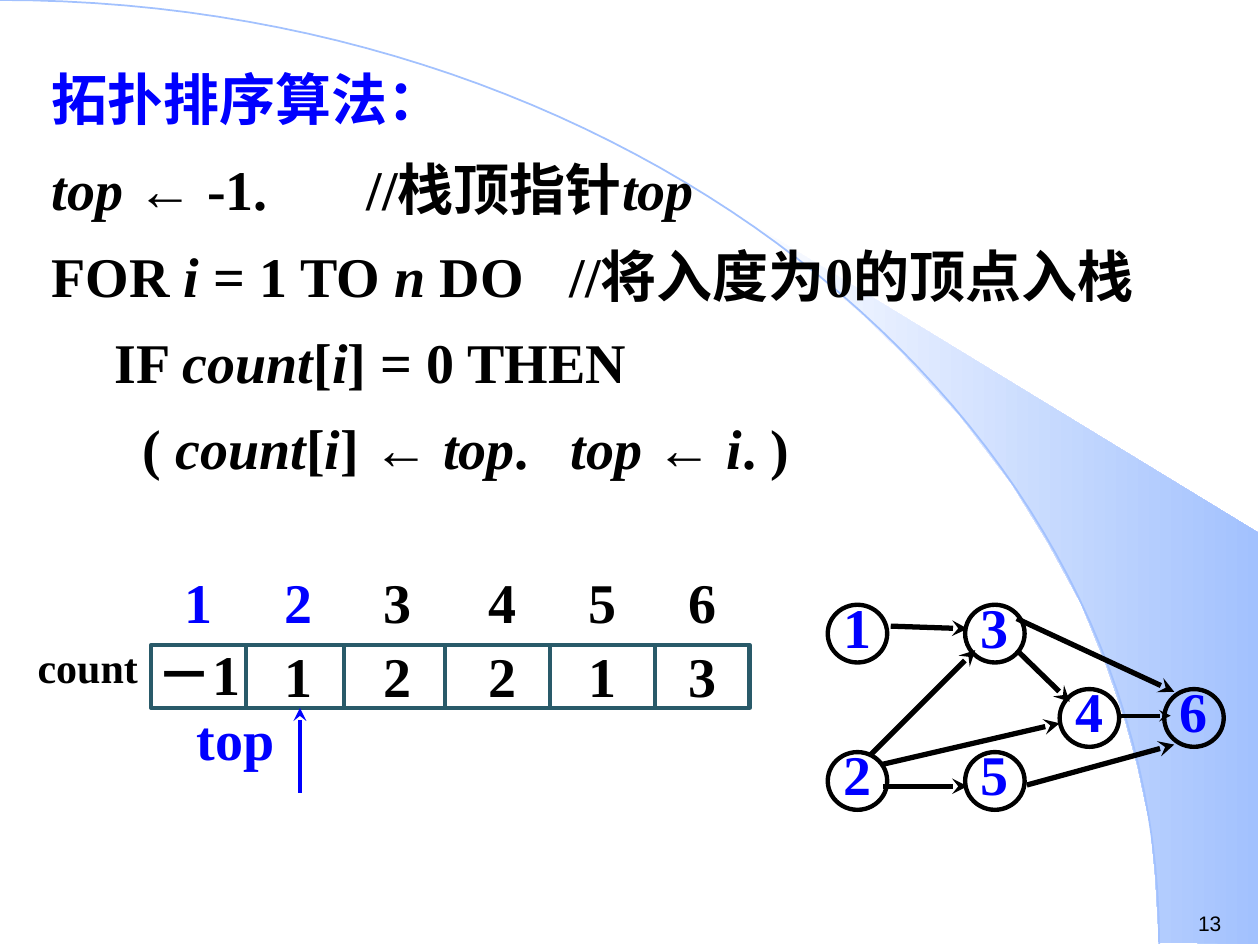
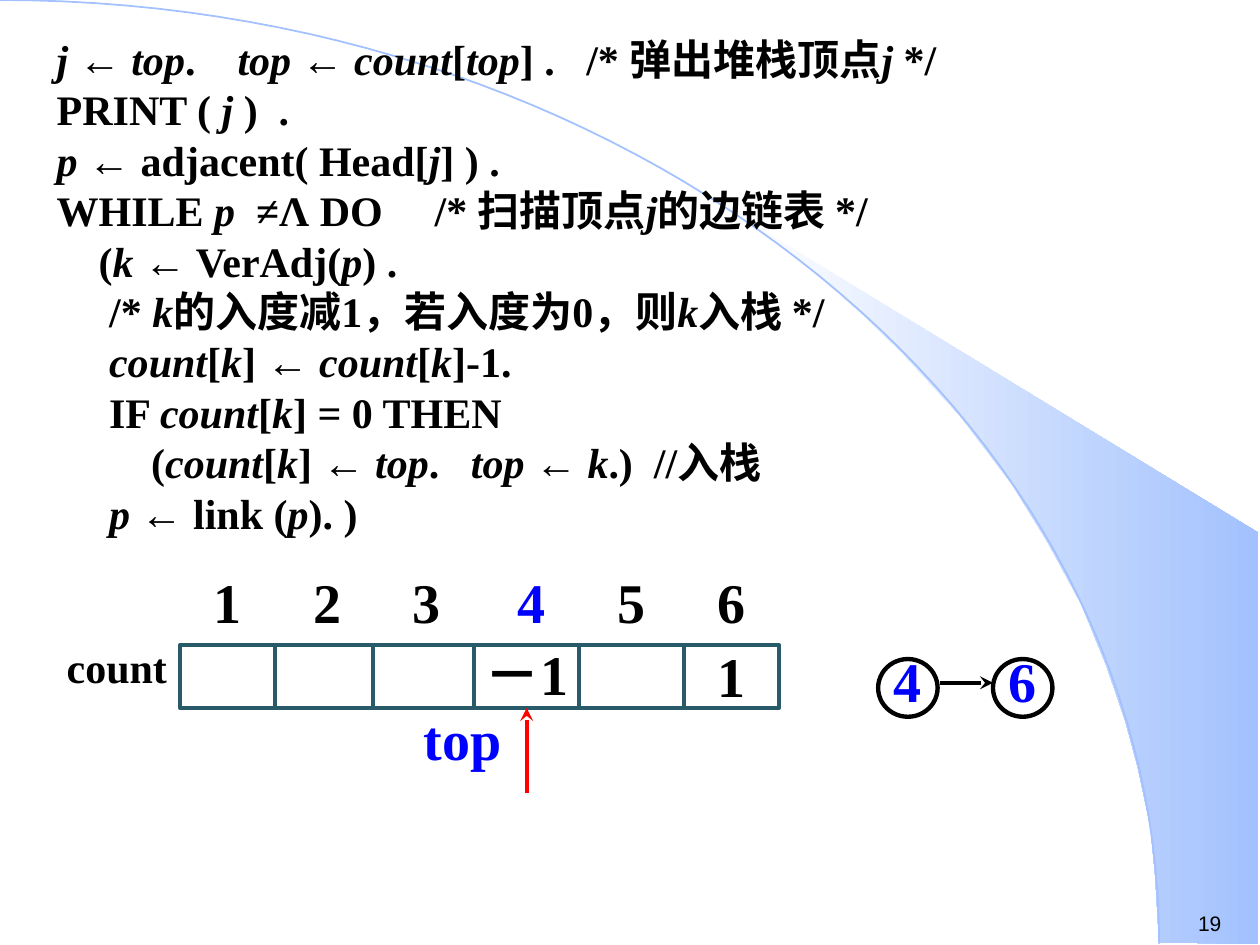
from lxml.etree import SubElement
from pptx import Presentation
from pptx.dml.color import RGBColor
from pptx.enum.shapes import MSO_CONNECTOR, MSO_SHAPE
from pptx.enum.text import MSO_ANCHOR, MSO_AUTO_SIZE, PP_ALIGN
from pptx.oxml.ns import qn
from pptx.util import Pt

# Shared look
BLACK, BLUE, RED = "000000", "0000FF", "FF0000"
TEAL, SKY, WHITE = "295A69", "A2C1FE", "FFFFFF"
SERIF, SANS = "Times New Roman", "Arial"
LEADING = 1.2

# Background band: right wedge outline, and control points of the arc
WEDGE = [(662.4, 538.6), (719.3, 539.3), (719.3, 304.6), (424.1, 124.6),
         (449.3, 143.3), (470.2, 159.8), (493.2, 180), (515.5, 201.6),
         (548.6, 237.6), (578.2, 276.5), (599, 310.3), (617.8, 344.9),
         (632.2, 380.2), (643, 411.8), (650.2, 438.5), (657.4, 472.3),
         (660.2, 501.1)]
ARC = [(0, 0), (365.8, 0), (662.4, 241.2), (662.4, 539.3)]
ARC_STEPS = 60

# Count array: column edges and left ends of the digit boxes
COLUMN_EDGES = [0, 54, 110, 168, 228, 288, 342]
DIGIT_LEFTS = [0, 57, 114, 174, 231, 288]
DIGIT_W, MINUS_W, BOX_H = 54, 78, 45
ARRAY_TOP, ARRAY_H = 368.6, 36
NODE_W, NODE_H = 34, 33

# Slide content; _text_ marks italics
SLIDES = [
    {
        "number": "13",
        "title": "拓扑排序算法：",
        "code": [
            "_top _← -1.\t\t//栈顶指针_top_",
            "FOR _i _= 1 TO _n_ DO\t //将入度为0的顶点入栈",
            "\tIF _count_[_i_] = 0 THEN",
            "\t  ( _count_[_i_] ← _top_.   _top _← _i_. )",
        ],
        "code_box": (22.3, 74, 658, 206), "code_size": 32, "code_pitch": 49.3,
        "array_left": 86.4,
        "values": ["－1", "1", "2", "2", "1", "3"],
        "blue_indexes": [1, 2],
        "top_x": 171.4, "top_color": BLUE,
        "nodes": {"1": (473, 345.6), "3": (551.5, 345.6), "4": (605.5, 393.8),
                  "6": (665.3, 393.8), "2": (473, 429.8), "5": (551.5, 429.8)},
        "edges": [
            (509, 357.8, 553, 359.3, 3), (504.7, 449.3, 553, 449.3, 3),
            (503.3, 437, 605.5, 413.3, 3), (497.5, 431.3, 557.3, 371.5, 3),
            (581, 371.5, 611.3, 401, 3), (640, 409, 669, 409, 2.25),
            (586.8, 448.6, 671, 425.5, 3), (581, 353.5, 671, 395.3, 3),
        ],
    },
    {
        "number": "19",
        "title": None,
        "code": [
            "_j _← _top_.    _top _← _count_[_top_] .   /* 弹出堆栈顶点_j_ */",
            "PRINT ( _j _)  .",
            "_p _← adjacent( Head[_j_] ) .",
            "WHILE_ p  _≠Λ DO\t/* 扫描顶点_j_的边链表 */",
            "    (_k _← VerAdj(_p_) .",
            "     /* _k_的入度减1，若入度为0，则_k_入栈 */",
            "_     count_[_k_] ← _count_[_k_]-1.",
            "     IF _count_[_k_] = 0 THEN",
            "         (_count_[_k_] ← _top_.   _top _← _k_.)  //入栈",
            "_     p _← link (_p_). )",
        ],
        "code_box": (25.2, 15.5, 533, 295), "code_size": 24, "code_pitch": 28.8,
        "array_left": 103,
        "values": ["", "", "", "－1", "", "1"],
        "blue_indexes": [4],
        "top_x": 301, "top_color": RED,
        "nodes": {"4": (501.8, 376.6), "6": (567.4, 376.6)},
        "edges": [(537, 390.2, 567.4, 390.2, 2.5)],
    },
]


def rgb(value):
    return RGBColor.from_string(value)


def place(sp, left, top, width, height):
    sp.left, sp.top, sp.width, sp.height = Pt(left), Pt(top), Pt(width), Pt(height)


def style_run(r, size, color, bold=True, italic=False, font=SERIF):
    r.font.name, r.font.size = font, Pt(size)
    r.font.bold, r.font.italic = bold, italic
    r.font.color.rgb = rgb(color)


def write_line(tf, text, size, color=BLACK, align=PP_ALIGN.LEFT, **style):
    tf.text = text
    p = tf.paragraphs[0]
    p.alignment = align
    p.space_before = Pt(0)
    p.line_spacing = Pt(round(size * LEADING, 1))
    for r in p.runs:
        style_run(r, size, color, **style)
    return p


def add_label(slide, text, left, top, width, size=32, **style):
    sp = slide.shapes.add_textbox(Pt(left), Pt(top), Pt(width), Pt(BOX_H))
    sp.text_frame.word_wrap = True
    write_line(sp.text_frame, text, size, **style)


def add_line(slide, x1, y1, x2, y2, color, width, arrow=False):
    line = slide.shapes.add_connector(MSO_CONNECTOR.STRAIGHT, Pt(x1), Pt(y1), Pt(x2), Pt(y2))
    line.line.color.rgb = rgb(color)
    line.line.width = Pt(width)
    props = line.element.spPr
    if arrow:
        SubElement(props.find(qn("a:ln")), qn("a:tailEnd"), type="stealth")
    SubElement(props, qn("a:effectLst"))


def add_outline(slide, kind, left, top, width, height, color):
    sp = slide.shapes.add_shape(kind, Pt(left), Pt(top), Pt(width), Pt(height))
    sp.shadow.inherit = False
    sp.fill.background()
    sp.line.color.rgb = rgb(color)
    sp.line.width = Pt(2.5)
    return sp


def add_freeform(slide, points, close):
    start, *rest = [(Pt(x), Pt(y)) for x, y in points]
    builder = slide.shapes.build_freeform(*start)
    builder.add_line_segments(rest, close=close)
    sp = builder.convert_to_shape()
    sp.shadow.inherit = False
    return sp


def arc_point(t):
    weights = ((1 - t) ** 3, 3 * t * (1 - t) ** 2, 3 * t * t * (1 - t), t ** 3)
    return tuple(sum(w * c for w, c in zip(weights, axis)) for axis in zip(*ARC))


def add_background(slide, layout):
    """Draw the band and hand it to the layout, so every slide shows it."""
    wedge = add_freeform(slide, WEDGE, True)
    wedge.line.fill.background()
    wedge.fill.gradient()
    wedge.fill.gradient_angle = 0
    for stop, color in zip(wedge.fill.gradient_stops, (WHITE, SKY)):
        stop.color.rgb = rgb(color)
    arc = add_freeform(slide, [arc_point(i / ARC_STEPS) for i in range(ARC_STEPS + 1)], False)
    arc.fill.background()
    arc.line.color.rgb = rgb(SKY)
    arc.line.width = Pt(1)
    for i, sp in enumerate((wedge, arc)):
        layout.shapes.element.insert(2 + i, sp.element)


def fill_title(slide, text):
    sp = slide.shapes.title
    if text is None:
        sp.element.getparent().remove(sp.element)
        return
    place(sp, 22.3, 33, 658, 46)
    tf = sp.text_frame
    tf.vertical_anchor = MSO_ANCHOR.TOP
    tf.auto_size = MSO_AUTO_SIZE.NONE
    write_line(tf, text, 32, BLUE)


def fill_code(slide, lines, box, size, pitch):
    sp = slide.placeholders[1]
    place(sp, *box)
    tf = sp.text_frame
    tf.auto_size = MSO_AUTO_SIZE.NONE
    for i, line in enumerate(lines):
        p = tf.paragraphs[0] if i == 0 else tf.add_paragraph()
        # No bullet, tab stops every inch
        props = p._p.get_or_add_pPr()
        props.set("marL", "0")
        props.set("indent", "0")
        SubElement(props, qn("a:buNone"))
        tabs = SubElement(props, qn("a:tabLst"))
        for n in range(1, 7):
            SubElement(tabs, qn("a:tab"), pos=str(Pt(72 * n)), algn="l")
        p.space_before = Pt(0)
        p.line_spacing = Pt(pitch)
        for n, part in enumerate(line.split("_")):
            if part:
                r = p.add_run()
                r.text = part
                style_run(r, size, BLACK, italic=n % 2 == 1)


def add_count_array(slide, left, values, blue_indexes, top_x, top_color):
    add_outline(slide, MSO_SHAPE.RECTANGLE, left, ARRAY_TOP, COLUMN_EDGES[-1], ARRAY_H, TEAL)
    bottom = ARRAY_TOP + ARRAY_H
    for edge in COLUMN_EDGES[1:-1]:
        add_line(slide, left + edge, ARRAY_TOP, left + edge, bottom, TEAL, 2.25)
    for i, (x, value) in enumerate(zip(DIGIT_LEFTS, values)):
        color = BLUE if i + 1 in blue_indexes else BLACK
        add_label(slide, str(i + 1), left + x, 321, DIGIT_W, color=color, align=PP_ALIGN.CENTER)
        if len(value) > 1:
            middle = (COLUMN_EDGES[i] + COLUMN_EDGES[i + 1]) / 2
            add_label(slide, value, left + middle - MINUS_W / 2, 362, MINUS_W,
                      align=PP_ALIGN.CENTER)
        elif value:
            add_label(slide, value, left + x, 363, DIGIT_W, align=PP_ALIGN.CENTER)
    add_label(slide, "count", left - 72, 363, 90, size=24)
    add_label(slide, "top", top_x - 66, 399, 72, color=BLUE)
    add_line(slide, top_x, 453, top_x, bottom, top_color, 2.5, arrow=True)


def add_graph(slide, nodes, edges):
    for name, (x, y) in nodes.items():
        sp = add_outline(slide, MSO_SHAPE.OVAL, x, y, NODE_W, NODE_H, BLACK)
        tf = sp.text_frame
        tf.word_wrap = False
        tf.vertical_anchor = MSO_ANCHOR.MIDDLE
        tf.margin_left = tf.margin_right = tf.margin_top = 0
        tf.margin_bottom = Pt(9)
        write_line(tf, name, 32, BLUE, PP_ALIGN.CENTER)
    for x1, y1, x2, y2, width in edges:
        add_line(slide, x1, y1, x2, y2, BLACK, width, arrow=True)


def main():
    prs = Presentation()
    prs.slide_width, prs.slide_height = Pt(720), Pt(540)
    layout = prs.slide_layouts[1]
    for i, s in enumerate(SLIDES):
        slide = prs.slides.add_slide(layout)
        if i == 0:
            add_background(slide, layout)
        fill_title(slide, s["title"])
        fill_code(slide, s["code"], s["code_box"], s["code_size"], s["code_pitch"])
        add_count_array(slide, s["array_left"], s["values"], s["blue_indexes"],
                        s["top_x"], s["top_color"])
        add_graph(slide, s["nodes"], s["edges"])
        add_label(slide, s["number"], 677.5, 517, 42.5, size=12, bold=False, font=SANS)
    prs.save("out.pptx")


if __name__ == "__main__":
    main()
